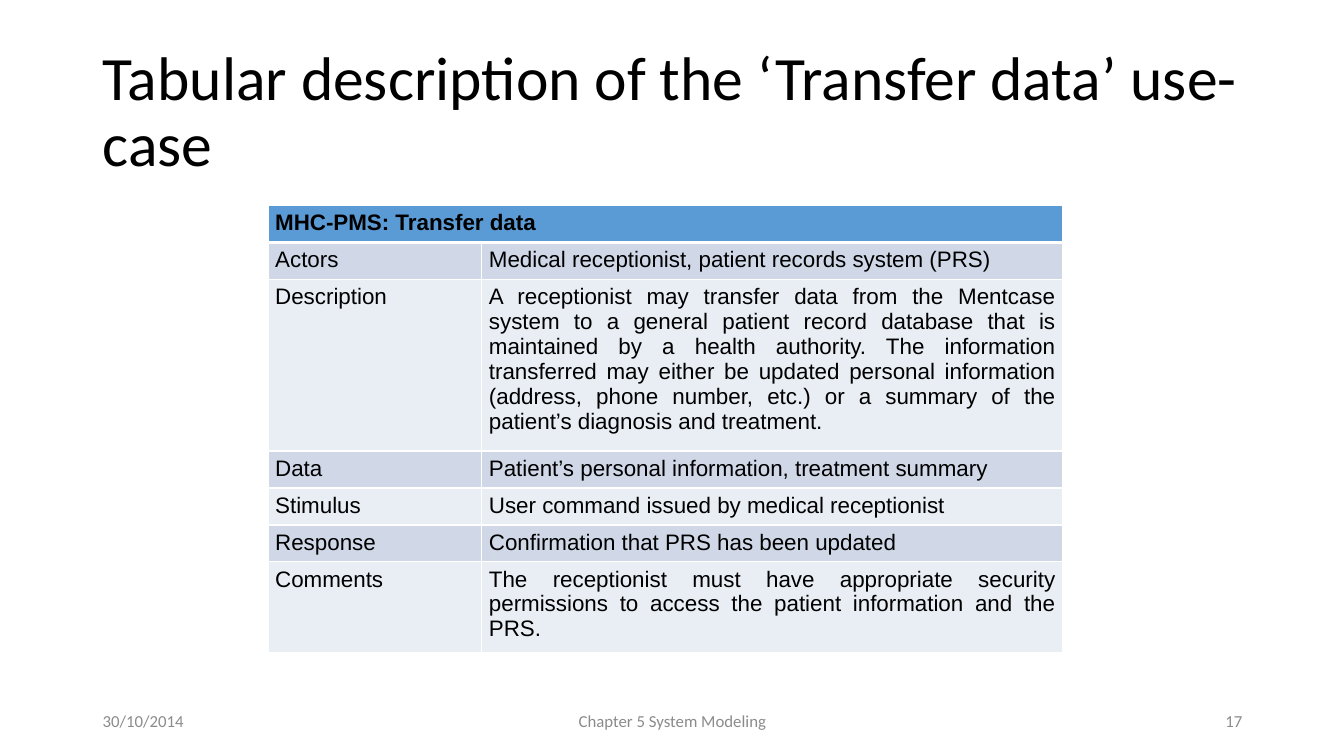
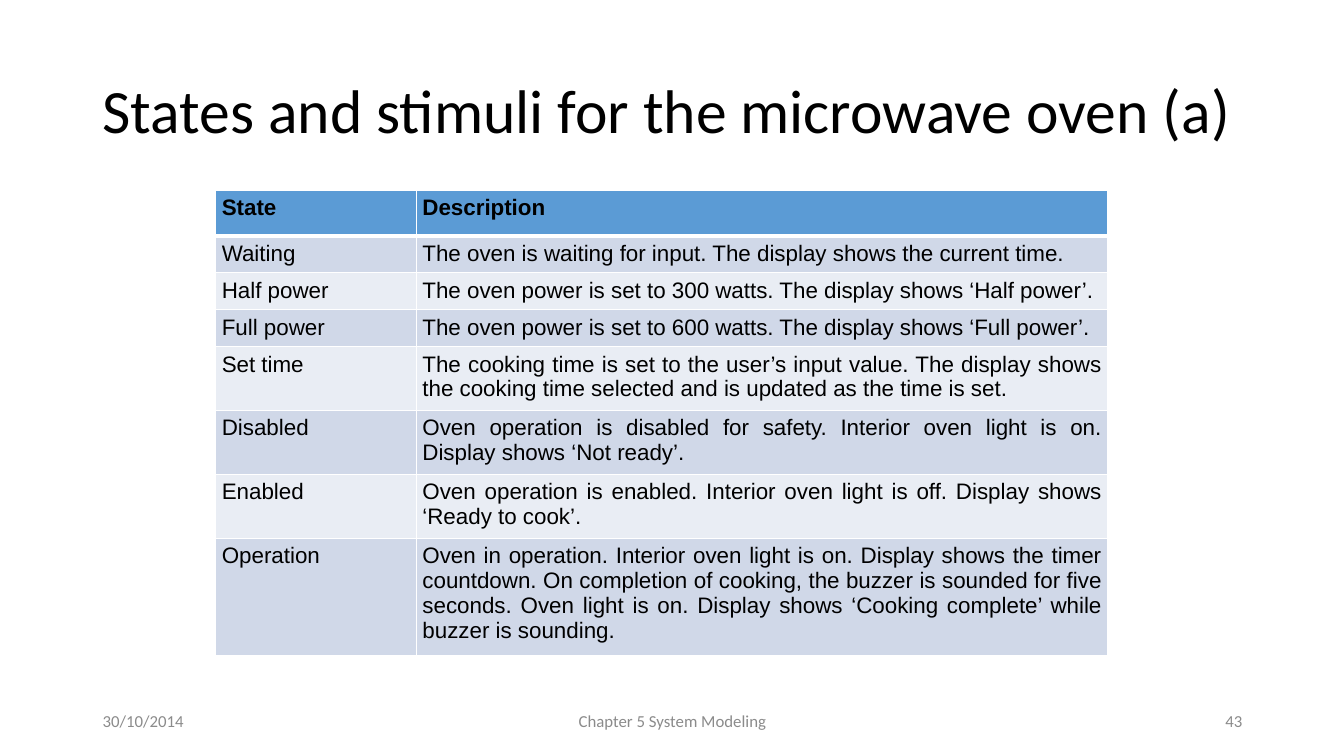
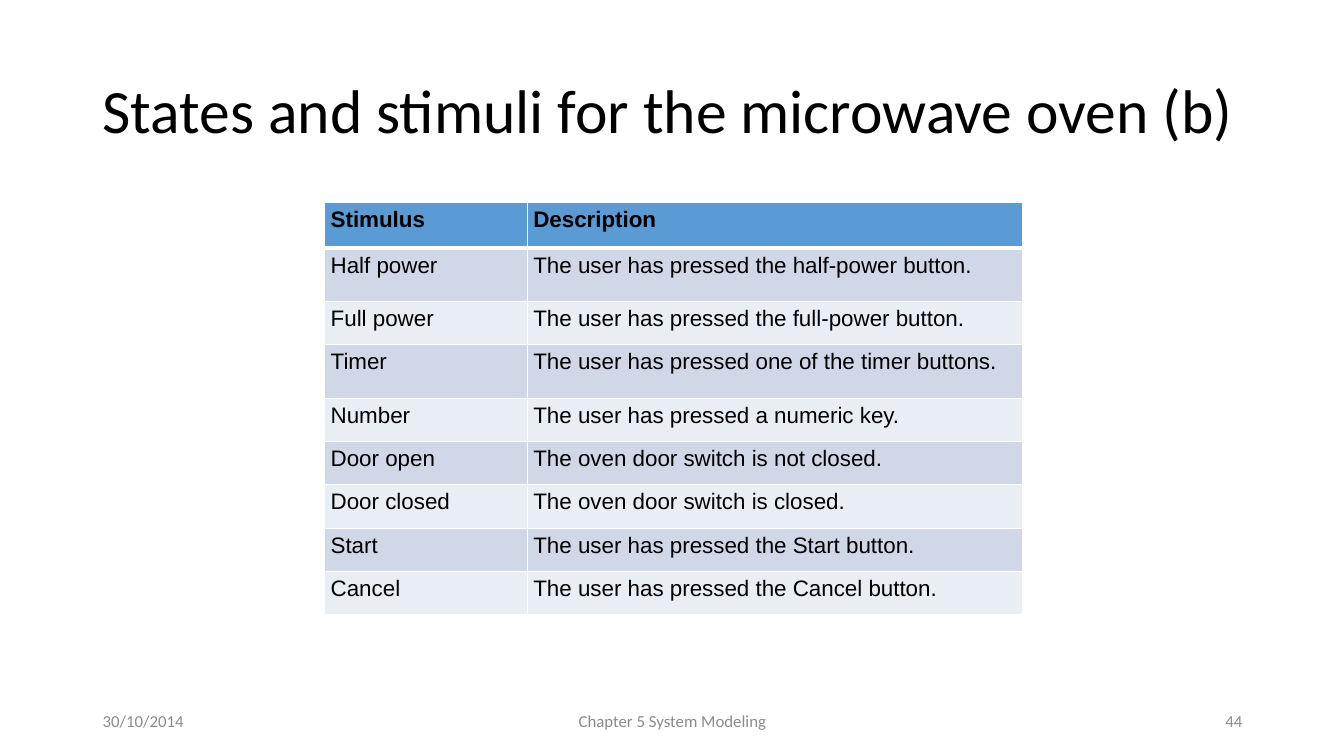
from lxml.etree import SubElement
from pptx import Presentation
from pptx.dml.color import RGBColor
from pptx.enum.text import MSO_ANCHOR as Anchor, PP_ALIGN as Align
from pptx.oxml.ns import qn
from pptx.util import Inches, Pt

# Shared look
BLACK = RGBColor(0x00, 0x00, 0x00)
WHITE = RGBColor(0xFF, 0xFF, 0xFF)
GREY = RGBColor(0x8B, 0x8B, 0x8B)
HEADER_BLUE = RGBColor(0x5B, 0x9B, 0xD5)
BAND_DARK = RGBColor(0xD0, 0xD8, 0xE8)
BAND_LIGHT = RGBColor(0xE9, 0xED, 0xF4)
HEADING_FONT, TABLE_FONT = "Calibri", "Arial"
THIN, THICK = Pt(0.96), Pt(3)
MARGIN = 0.92
FOOTER_TOP, FOOTER_HEIGHT = 6.95, 0.4
DATE = "30/10/2014"
CHAPTER = "Chapter 5 System Modeling"

TRANSFER_ROWS = [
    ("MHC-PMS: Transfer data",),
    ("Actors", "Medical receptionist, patient records system (PRS)"),
    ("Description",
     "A receptionist may transfer data from the Mentcase system to a general "
     "patient record database that is maintained by a health authority. The "
     "information transferred may either be updated personal information "
     "(address, phone number, etc.) or a summary of the patient’s diagnosis "
     "and treatment."),
    ("Data", "Patient’s personal information, treatment summary"),
    ("Stimulus", "User command issued by medical receptionist"),
    ("Response", "Confirmation that PRS has been updated"),
    ("Comments",
     "The receptionist must have appropriate security permissions to access "
     "the patient information and the PRS."),
]

STATE_ROWS = [
    ("State", "Description"),
    ("Waiting",
     "The oven is waiting for input. The display shows the current time."),
    ("Half power",
     "The oven power is set to 300 watts. The display shows ‘Half power’."),
    ("Full power",
     "The oven power is set to 600 watts. The display shows ‘Full power’."),
    ("Set time",
     "The cooking time is set to the user’s input value. The display shows "
     "the cooking time selected and is updated as the time is set."),
    ("Disabled",
     "Oven operation is disabled for safety. Interior oven light is on. "
     "Display shows ‘Not ready’."),
    ("Enabled",
     "Oven operation is enabled. Interior oven light is off. Display shows "
     "‘Ready to cook’."),
    ("Operation",
     "Oven in operation. Interior oven light is on. Display shows the timer "
     "countdown. On completion of cooking, the buzzer is sounded for five "
     "seconds. Oven light is on. Display shows ‘Cooking complete’ while "
     "buzzer is sounding."),
]

STIMULUS_ROWS = [
    ("Stimulus", "Description"),
    ("Half power", "The user has pressed the half-power button."),
    ("Full power", "The user has pressed the full-power button."),
    ("Timer", "The user has pressed one of the timer buttons."),
    ("Number", "The user has pressed a numeric key."),
    ("Door open", "The oven door switch is not closed."),
    ("Door closed", "The oven door switch is closed."),
    ("Start", "The user has pressed the Start button."),
    ("Cancel", "The user has pressed the Cancel button."),
]


def write_text(frame, text, *, size, font=HEADING_FONT, color=BLACK,
               bold=False, align=Align.LEFT, spacing=None):
    """Put one formatted paragraph into a text frame."""
    para = frame.paragraphs[0]
    para.alignment = align
    if spacing:
        para.line_spacing = spacing
    span = para.add_run()
    span.text = text
    span.font.name = font
    span.font.size = Pt(size)
    span.font.bold = bold
    span.font.color.rgb = color


def add_text(page, text, left, top, width, height, **text_format):
    box = page.shapes.add_textbox(
        Inches(left), Inches(top), Inches(width), Inches(height))
    frame = box.text_frame
    frame.word_wrap = True
    frame.vertical_anchor = Anchor.MIDDLE
    write_text(frame, text, **text_format)


def add_page(deck, title, number):
    """Add a blank page with its title and footer."""
    page = deck.slides.add_slide(deck.slide_layouts[6])
    add_text(page, title, MARGIN, 0.4, 11.5, 1.45, size=44, spacing=0.9)
    for text, left, width, align in (
            (DATE, MARGIN, 3, Align.LEFT),
            (CHAPTER, 4.42, 4.5, Align.CENTER),
            (str(number), 9.42, 3, Align.RIGHT)):
        add_text(page, text, left, FOOTER_TOP, width, FOOTER_HEIGHT,
                 size=12, color=GREY, align=align)
    return page


def add_borders(cell, top, bottom):
    """Draw white cell borders; call before filling, as XML order matters."""
    properties = cell._tc.get_or_add_tcPr()
    for side, width in (("L", THIN), ("R", THIN), ("T", top), ("B", bottom)):
        line = SubElement(properties, qn(f"a:ln{side}"), w=str(int(width)))
        fill = SubElement(line, qn("a:solidFill"))
        SubElement(fill, qn("a:srgbClr"), val=str(WHITE))


def style_cell(cell, row, inset):
    add_borders(cell, top=THICK if row == 1 else THIN,
                bottom=THICK if row == 0 else THIN)
    cell.fill.solid()
    band = BAND_DARK if row % 2 else BAND_LIGHT
    cell.fill.fore_color.rgb = band if row else HEADER_BLUE
    cell.margin_left = cell.margin_right = Inches(inset)
    cell.margin_top = cell.margin_bottom = Inches(0.05)


def add_banded_table(page, rows, left, top, widths, heights, inset=0.06):
    """Add a table; a row with a single text spans all columns."""
    table = page.shapes.add_table(
        len(rows), len(widths), Inches(left), Inches(top),
        Inches(sum(widths)), Inches(sum(heights))).table
    for column, width in zip(table.columns, widths):
        column.width = Inches(width)
    for row, (texts, height) in enumerate(zip(rows, heights)):
        table.rows[row].height = Inches(height)
        for column in range(len(widths)):
            style_cell(table.cell(row, column), row, inset)
        if len(texts) == 1:
            table.cell(row, 0).merge(table.cell(row, len(widths) - 1))
        for column, text in enumerate(texts):
            write_text(table.cell(row, column).text_frame, text, size=16,
                       font=TABLE_FONT, bold=row == 0, align=Align.JUSTIFY)


def main():
    deck = Presentation()
    deck.slide_width, deck.slide_height = Inches(13.33), Inches(7.5)

    # Use-case table
    page = add_page(
        deck, "Tabular description of the ‘Transfer data’ use-case", 17)
    add_banded_table(page, TRANSFER_ROWS, 2.66, 2.04, (2.12, 5.76),
                     [0.35, 0.35, 1.58] + [0.35] * 3 + [0.84], inset=0.07)

    # Oven states
    page = add_page(deck, "States and stimuli for the microwave oven (a)", 43)
    add_banded_table(page, STATE_ROWS, 2.14, 1.89, (1.99, 6.86),
                     [0.45] + [0.35] * 3 + [0.59] * 3 + [1.09])

    # Oven stimuli
    page = add_page(deck, "States and stimuli for the microwave oven (b)", 44)
    add_banded_table(page, STIMULUS_ROWS, 3.22, 2.01, (2.01, 4.91),
                     [0.45, 0.53, 0.43, 0.53] + [0.43] * 5)

    deck.save("out.pptx")


main()
